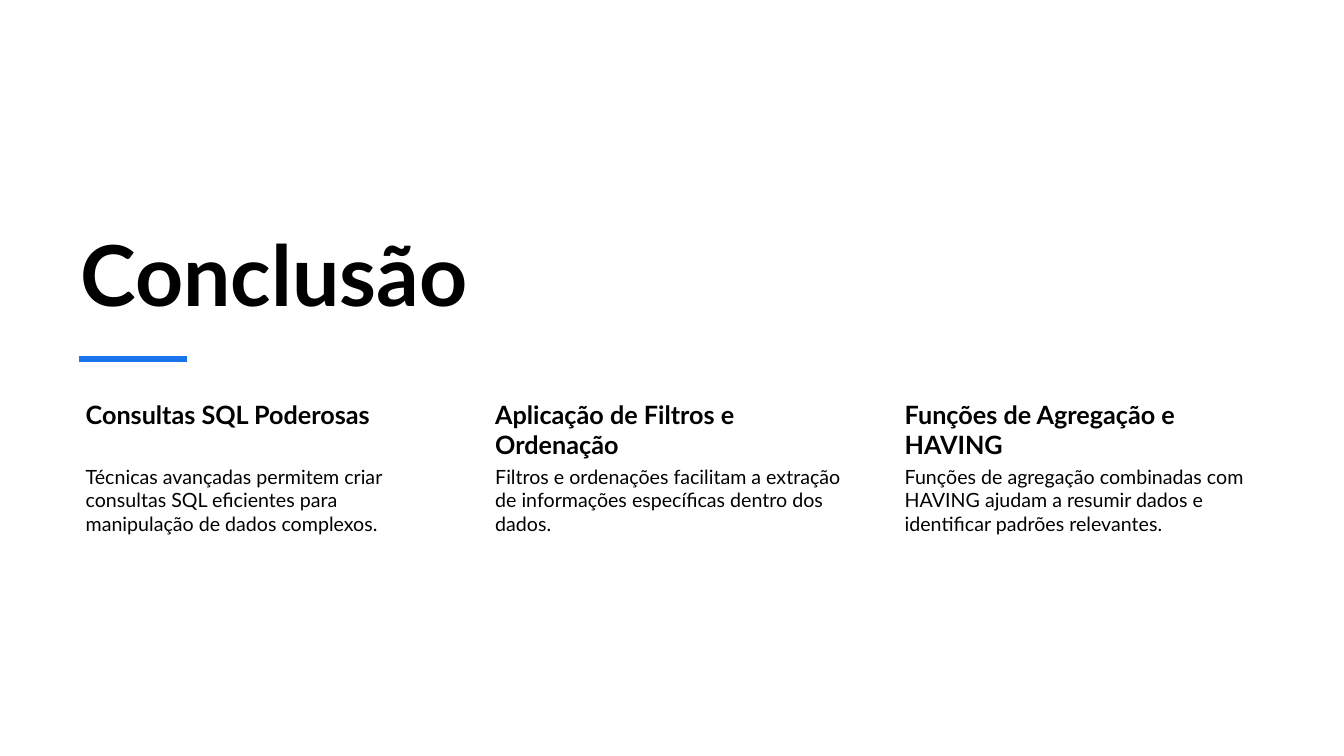
import pptx
import pptx.dml.color
import pptx.enum.shapes
import pptx.enum.text
import pptx.oxml
import pptx.oxml.ns
import pptx.util

Cm = pptx.util.Cm
FONT = "Lato"
BLACK = "000000"
BLUE = "1973EB"
LEFT = 1.78
COLUMN_WIDTH = 9.37
COLUMN_STEP = 10.32
HEADING = {"size": pptx.util.Pt(18), "bold": True}
BODY = {"size": pptx.util.Pt(14), "bold": False}
TAKEAWAYS = [
    ("Consultas SQL Poderosas",
     "Técnicas avançadas permitem criar consultas SQL eficientes para "
     "manipulação de dados complexos."),
    ("Aplicação de Filtros e Ordenação",
     "Filtros e ordenações facilitam a extração de informações específicas "
     "dentro dos dados."),
    ("Funções de Agregação e HAVING",
     "Funções de agregação combinadas com HAVING ajudam a resumir dados e "
     "identificar padrões relevantes."),
]


def set_colour(target, value):
    target.rgb = pptx.dml.color.RGBColor.from_string(value)


def write_text(frame, text, font_format):
    frame.word_wrap = True
    frame.auto_size = pptx.enum.text.MSO_AUTO_SIZE.NONE
    para = frame.paragraphs[0]
    para.alignment = pptx.enum.text.PP_ALIGN.LEFT
    para.line_spacing = 1.0
    span = para.add_run()
    span.text = text
    for name, value in {"name": FONT, **font_format}.items():
        setattr(span.font, name, value)
    set_colour(span.font.color, BLACK)


def place_title(page, text):
    title = page.shapes.title
    bounds = {"left": LEFT, "top": 4.37, "width": 22.68, "height": 3.91}
    for name, value in bounds.items():
        setattr(title, name, Cm(value))
    title.text_frame.vertical_anchor = pptx.enum.text.MSO_ANCHOR.BOTTOM
    write_text(title.text_frame, text, {"size": pptx.util.Pt(60), "bold": True})


def add_text(page, text, left, top, height, inset, font_format):
    box = page.shapes.add_textbox(Cm(left), Cm(top), Cm(COLUMN_WIDTH), Cm(height))
    frame = box.text_frame
    margins = {"left": 0.38, "top": inset, "right": inset, "bottom": inset}
    for side, value in margins.items():
        setattr(frame, f"margin_{side}", Cm(value))
    write_text(frame, text, font_format)


def add_accent(page, left, right, top):
    accent = page.shapes.add_connector(
        pptx.enum.shapes.MSO_CONNECTOR.STRAIGHT,
        Cm(left), Cm(top), Cm(right), Cm(top))
    accent.line.width = pptx.util.Pt(4.5)
    set_colour(accent.line.color, BLUE)
    properties = accent._element.find(pptx.oxml.ns.qn("p:spPr"))
    properties.append(pptx.oxml.parse_xml(
        f"<a:effectLst {pptx.oxml.ns.nsdecls('a')}/>"))


def main():
    deck = pptx.Presentation()
    deck.slide_width = Cm(33.87)
    deck.slide_height = Cm(19.05)
    page = deck.slides.add_slide(deck.slide_layouts.get_by_name("Title Only"))
    place_title(page, "Conclusão")
    for index, (heading, body) in enumerate(TAKEAWAYS):
        left = LEFT + index * COLUMN_STEP
        add_text(page, heading, left, 9.98, 1.68, 0.08, HEADING)
        add_text(page, body, left, 11.66, 5.26, 0.05, BODY)
    add_accent(page, 1.98, 4.7, 9.04)
    deck.save("out.pptx")


if __name__ == "__main__":
    main()
